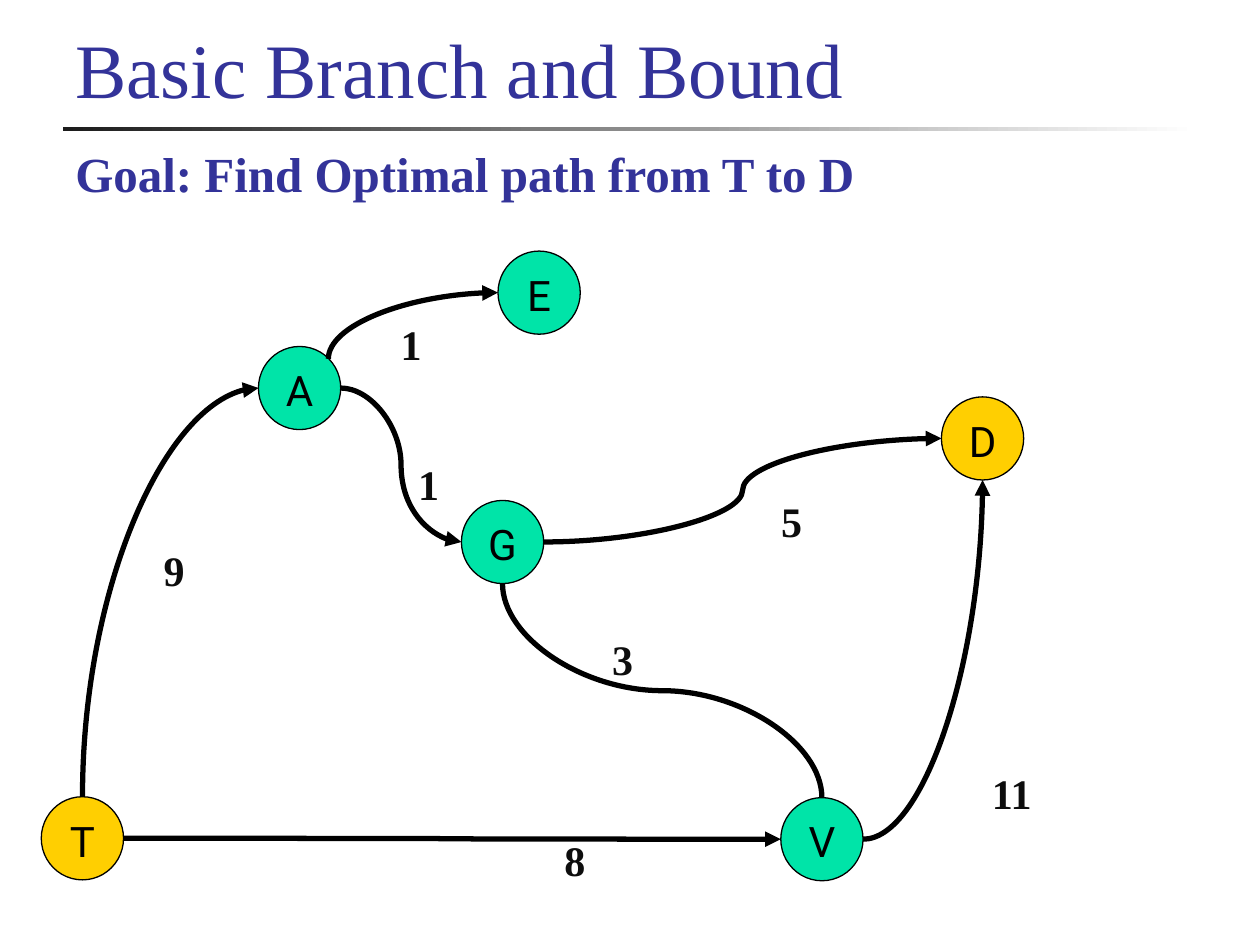
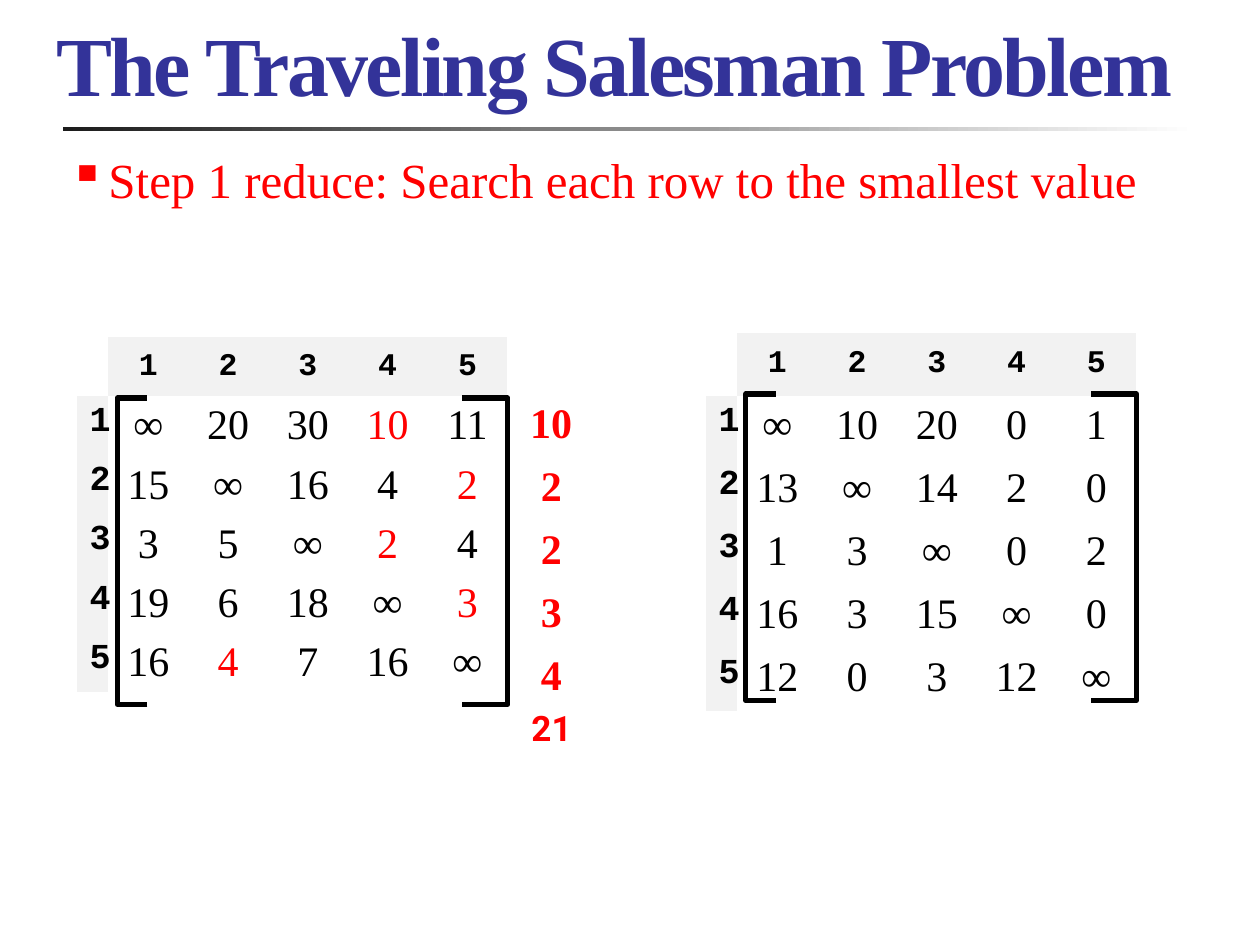
import math
from dataclasses import dataclass

from lxml import etree
from pptx import Presentation
from pptx import util as u
from pptx.dml import color
from pptx.enum import shapes, text
from pptx.oxml import ns

COLOURS = {
    "title": "333399", "rule": "1C1C1C", "paper": "FFFFFF", "ink": "000000",
    "cost": "0D0D0D", "inner": "00E4A8", "terminal": "FFCF01",
    "accent": "FF0000", "header": "F2F2F2",
}
SERIF, MONO, SANS = "Times New Roman", "Courier New", "Roboto"
NO_GRID_STYLE = "{2D5ABB26-0587-4C30-8999-92F81FD0307C}"
NODE_WIDTH, NODE_HEIGHT = 47, 47.5
LABEL_WIDTH, VALUE_WIDTH = 18, 45.6
CENTRE = text.PP_ALIGN.CENTER
BOTTOM, MIDDLE, TOP = (text.MSO_ANCHOR.BOTTOM, text.MSO_ANCHOR.MIDDLE,
                       text.MSO_ANCHOR.TOP)

# Points on a node, as fractions of its width and height
SIDES = {"top": (0.5, 0), "left": (0, 0.5), "bottom": (0.5, 1),
         "right": (1, 0.5), "upper right": (0.85, 0.15)}


@dataclass(frozen=True)
class Node:
    left: float
    top: float
    fill: str = "inner"

    def point(self, side: str) -> tuple[float, float]:
        across, down = SIDES[side]
        return self.left + across * NODE_WIDTH, self.top + down * NODE_HEIGHT


@dataclass(frozen=True)
class Edge:
    """A weighted path; cost_at is the left top corner of its cost label."""
    start: str
    start_side: str
    end: str
    end_side: str
    cost: int
    cost_at: tuple[float, float]
    cost_width: float = 22.3
    arrow: bool = True


@dataclass(frozen=True)
class Matrix:
    left: float
    top: float
    row_height: float
    rows: list[list[float]]
    bracket_left: float
    bracket_top: float
    mark_minima: bool = False


NODES = {
    "A": Node(147.7, 198), "E": Node(284.6, 143.5), "G": Node(263.7, 286),
    "V": Node(446.2, 455.8), "T": Node(23.6, 455.3, "terminal"),
    "D": Node(538, 226.8, "terminal"),
}
EDGES = [
    Edge("T", "right", "V", "left", 8, (315.4, 479.5)),
    Edge("V", "top", "G", "bottom", 3, (342.7, 365), arrow=False),
    Edge("V", "right", "D", "bottom", 11, (556.6, 441.4), cost_width=43.2),
    Edge("A", "right", "G", "left", 1, (231.8, 265)),
    Edge("A", "upper right", "E", "left", 1, (221.8, 185)),
    Edge("T", "top", "A", "left", 9, (86.4, 313.9)),
    Edge("G", "right", "D", "left", 5, (439.2, 285.8)),
]
INF = math.inf
COSTS = [
    [INF, 20, 30, 10, 11],
    [15, INF, 16, 4, 2],
    [3, 5, INF, 2, 4],
    [19, 6, 18, INF, 3],
    [16, 4, 7, 16, INF],
]
MINIMA = [min(row) for row in COSTS]
REDUCED = [[cost - low for cost in row] for row, low in zip(COSTS, MINIMA)]


def rgb(name: str) -> color.RGBColor:
    return color.RGBColor.from_string(COLOURS[name])


def write(frame, words: str, *, size: float, font: str = SERIF,
          ink: str = "ink", bold: bool = False, align=None, anchor=TOP,
          wrap: bool = True, spacing: float = 0, bullet: str = "") -> None:
    frame.word_wrap = wrap
    frame.vertical_anchor = anchor
    paragraph = frame.paragraphs[0]
    if bullet:
        properties = paragraph._p.get_or_add_pPr()
        properties.set("marL", str(u.Pt(22.5)))
        properties.set("indent", str(u.Pt(-22.5)))
        etree.SubElement(properties, ns.qn("a:buChar")).set("char", bullet)
    if align is not None:
        paragraph.alignment = align
    run = paragraph.add_run()
    run.text = words
    run.font.size = u.Pt(size)
    run.font.name = font
    run.font.bold = bold
    run.font.color.rgb = rgb(ink)
    if spacing:
        run._r.get_or_add_rPr().set("spc", str(round(spacing * 100)))


def add_text(slide, left: float, top: float, width: float, height: float,
             words: str, **style) -> None:
    box = slide.shapes.add_textbox(*map(u.Pt, (left, top, width, height)))
    write(box.text_frame, words, **style)


def add_plain_shape(slide, kind, left: float, top: float, width: float,
                    height: float):
    shape = slide.shapes.add_shape(
        kind, *map(u.Pt, (left, top, width, height)))
    shape.shadow.inherit = False
    return shape


def start_slide(deck, title: str, left: float, top: float, height: float,
                **style):
    """Add a blank slide with the fading rule and its title."""
    slide = deck.slides.add_slide(deck.slide_layouts[6])
    rule = add_plain_shape(slide, shapes.MSO_SHAPE.RECTANGLE, 36, 72.7, 648, 2.2)
    rule.line.fill.background()
    rule.fill.gradient()
    rule.fill.gradient_angle = 0
    for stop, name, position in zip(rule.fill.gradient_stops,
                                    ("rule", "paper"), (0, 1)):
        stop.color.rgb = rgb(name)
        stop.position = position
    add_text(slide, left, top, 669, height, title, ink="title",
             anchor=BOTTOM, **style)
    return slide


def add_node(slide, name: str, node: Node) -> None:
    circle = add_plain_shape(slide, shapes.MSO_SHAPE.OVAL, node.left, node.top,
                             NODE_WIDTH, NODE_HEIGHT)
    circle.fill.solid()
    circle.fill.fore_color.rgb = rgb(node.fill)
    circle.line.color.rgb = rgb("ink")
    circle.line.width = u.Pt(0.75)
    write(circle.text_frame, name, size=24, font=SANS, align=CENTRE, wrap=False)


def add_edge(slide, edge: Edge) -> None:
    """Draw a curve that leaves and enters its nodes at right angles."""
    x0, y0 = NODES[edge.start].point(edge.start_side)
    x1, y1 = NODES[edge.end].point(edge.end_side)
    starts_upright = edge.start_side not in ("left", "right")
    ends_upright = edge.end_side not in ("left", "right")
    if starts_upright:  # preset curves start sideways: lay out, then turn by 90°
        mid_x, mid_y = (x0 + x1) / 2, (y0 + y1) / 2
        half_x, half_y = (y1 - y0) / 2, (x0 - x1) / 2
        x0, y0 = mid_x - half_x, mid_y - half_y
        x1, y1 = mid_x + half_x, mid_y + half_y
    curve = slide.shapes.add_connector(shapes.MSO_CONNECTOR.CURVE,
                                       *map(u.Pt, (x0, y0, x1, y1)))
    properties = curve._element.spPr
    if starts_upright:
        properties.find(ns.qn("a:xfrm")).set("rot", str(90 * 60000))
    if starts_upright != ends_upright:
        properties.find(ns.qn("a:prstGeom")).set("prst", "curvedConnector2")
    curve.line.color.rgb = rgb("ink")
    curve.line.width = u.Pt(3)
    if edge.arrow:
        line = curve.line._get_or_add_ln()
        etree.SubElement(line, ns.qn("a:tailEnd")).set("type", "triangle")
    etree.SubElement(properties, ns.qn("a:effectLst"))
    add_text(slide, *edge.cost_at, edge.cost_width, 29.5, str(edge.cost),
             size=24, ink="cost", bold=True, align=CENTRE, anchor=BOTTOM)


def add_plain_table(slide, left: float, top: float, widths: list[float],
                    row_count: int, row_height: float):
    """Add a table without grid, banding or cell fills."""
    table = slide.shapes.add_table(
        row_count, len(widths),
        *map(u.Pt, (left, top, sum(widths), row_count * row_height))).table
    table.first_row = table.horz_banding = False
    table._tbl.tblPr.find(ns.qn("a:tableStyleId")).text = NO_GRID_STYLE
    for column, width in zip(table.columns, widths):
        column.width = u.Pt(width)
    for row in table.rows:
        row.height = u.Pt(row_height)
    for cell in table.iter_cells():
        cell.margin_bottom = 0
        cell.fill.background()
    return table


def fill_cell(cell, words: str, anchor=TOP, header: bool = False,
              **style) -> None:
    if header:
        cell.fill.solid()
        cell.fill.fore_color.rgb = rgb("header")
        style |= {"font": MONO, "bold": True}
    write(cell.text_frame, words, align=CENTRE, **style)
    cell.vertical_anchor = anchor


def add_bracket(slide, left: float, top: float, width: float,
                closing: bool = False) -> None:
    bracket = add_plain_shape(slide, shapes.MSO_SHAPE.LEFT_BRACKET,
                              left, top, width, 175)
    bracket.adjustments[0] = 0
    bracket.fill.background()
    bracket.line.color.rgb = rgb("ink")
    bracket.line.width = u.Pt(3)
    if closing:
        bracket._element.spPr.find(ns.qn("a:xfrm")).set("flipH", "1")


def add_matrix(slide, matrix: Matrix) -> None:
    size = len(matrix.rows)
    table = add_plain_table(slide, matrix.left, matrix.top,
                            [LABEL_WIDTH] + [VALUE_WIDTH] * size,
                            size + 1, matrix.row_height)
    for number, row in enumerate(matrix.rows, 1):
        heading = table.cell(0, number)
        heading.margin_bottom = heading.margin_top
        fill_cell(heading, str(number), MIDDLE, header=True, size=18)
        fill_cell(table.cell(number, 0), str(number), header=True, size=20)
        for column, cost in enumerate(row, 1):
            smallest = matrix.mark_minima and cost == min(row)
            fill_cell(table.cell(number, column),
                      "∞" if cost == INF else str(cost), size=24,
                      ink="accent" if smallest else "ink")
    add_bracket(slide, matrix.bracket_left, matrix.bracket_top, 17.3)
    add_bracket(slide, matrix.bracket_left + 197.3, matrix.bracket_top, 25.9,
                closing=True)


def build_graph_slide(deck) -> None:
    slide = start_slide(deck, "Basic Branch and Bound", 36, 9.4, 59, size=44)
    add_text(slide, 36, 78.5, 669, 49, "Goal: Find Optimal path from T to D",
             size=28, ink="title", bold=True)
    for name, node in NODES.items():
        add_node(slide, name, node)
    for edge in EDGES:
        add_edge(slide, edge)


def build_reduction_slide(deck) -> None:
    slide = start_slide(deck, "The Traveling Salesman Problem", 25.2, 5, 63.4,
                        size=48, bold=True, spacing=-1.5)
    add_text(slide, 32.4, 82, 660, 41,
             "Step 1 reduce: Search each row to the smallest value",
             size=28, ink="accent", bullet="▪")
    add_matrix(slide, Matrix(44, 192.6, 33.8, COSTS, 67, 227.5,
                             mark_minima=True))
    add_matrix(slide, Matrix(403.4, 190.3, 36, REDUCED, 426.2, 225.2))
    minima = add_plain_table(slide, 291.6, 225.4, [46.8], len(MINIMA), 36)
    for cell, low in zip(minima.iter_cells(), MINIMA):
        fill_cell(cell, str(low), size=24, ink="accent", bold=True)
    add_text(slide, 296.6, 400.3, 51.8, 31.7, str(sum(MINIMA)), size=20,
             font=SANS, ink="accent", bold=True)


def main() -> None:
    deck = Presentation()
    deck.slide_width, deck.slide_height = u.Pt(720), u.Pt(540)
    build_graph_slide(deck)
    build_reduction_slide(deck)
    deck.save("out.pptx")


if __name__ == "__main__":
    main()
